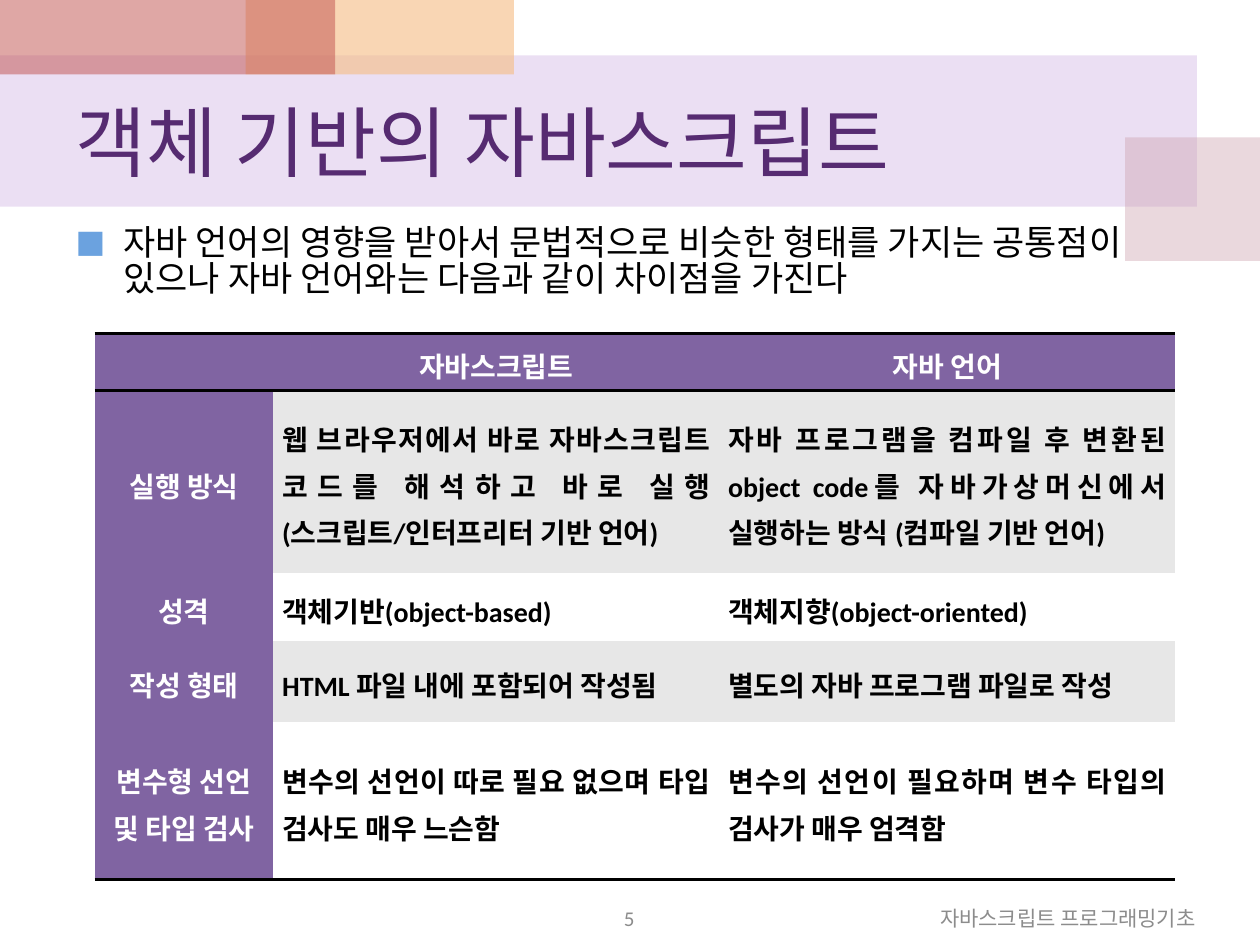
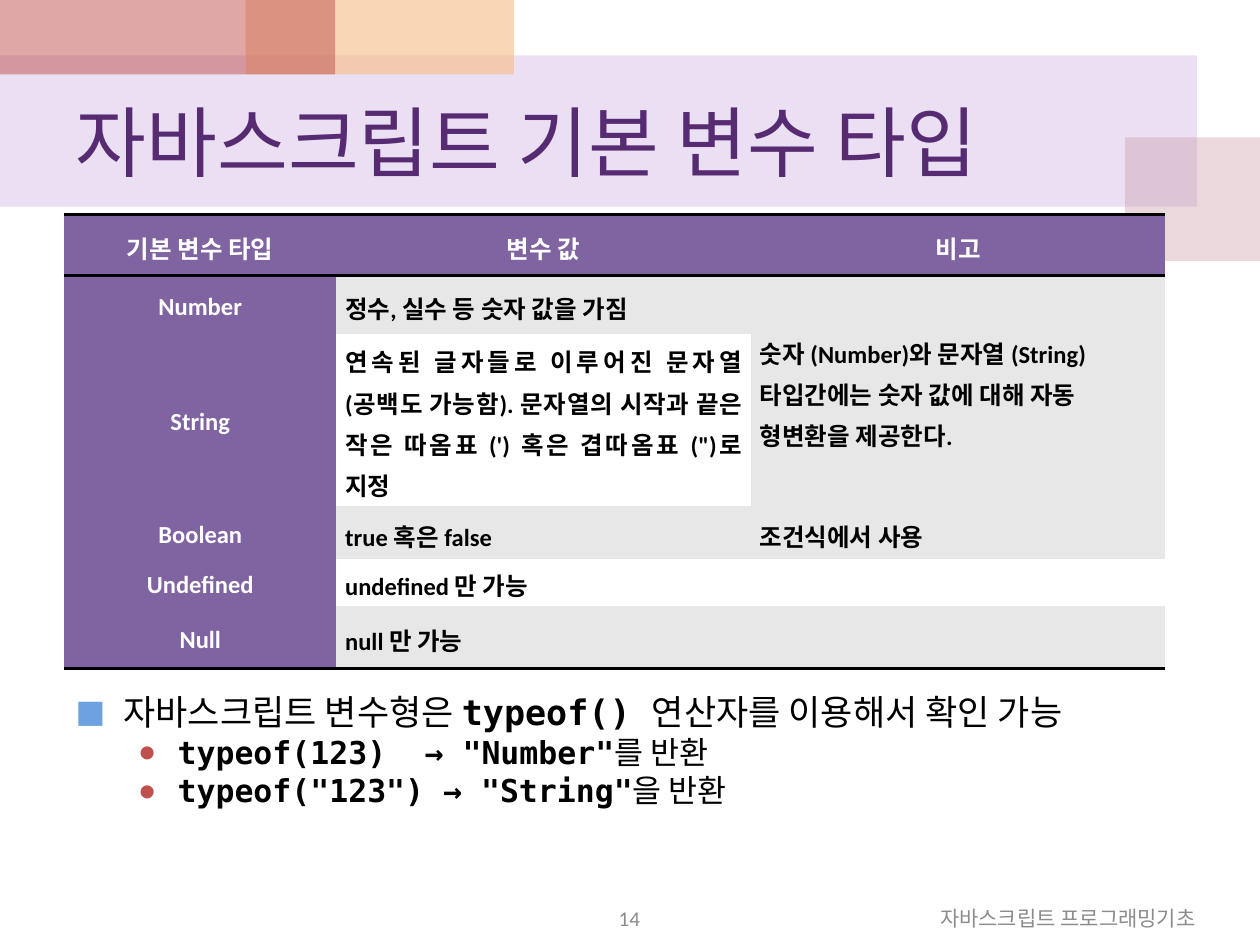
from dataclasses import dataclass
from lxml.etree import SubElement
from pptx import Presentation
from pptx.dml.color import RGBColor as RGB
from pptx.enum.shapes import MSO_SHAPE as Shape
from pptx.enum.text import MSO_ANCHOR as Anchor, MSO_AUTO_SIZE as Fit, PP_ALIGN as Align
from pptx.oxml.ns import qn
from pptx.util import Inches, Pt

FOOT = "자바스크립트 프로그래밍기초"
PAGES = [
    dict(
        title="객체 기반의 자바스크립트", num="5",
        body=(0.5, 1.75, 9, 0.85),
        items=[(0, [("자바 언어의 영향을 받아서 문법적으로 비슷한 형태를 가지는 공통점이 있으나 자바 언어와는 다음과 같이 차이점을 가진다", False)])],
        spot=(0.75, 2.65), size=16, spans=[],
        cols=[1.42, 3.54, 3.62], tall=[0.45, 1.45, 0.54, 0.64, 1.25],
        rows=[
            ("", "자바스크립트", "자바 언어"),
            ("실행 방식",
             "웹 브라우저에서 바로 자바스크립트 코드를 해석하고 바로 실행 (스크립트/인터프리터 기반 언어)",
             "자바 프로그램을 컴파일 후 변환된 object code를 자바가상머신에서 실행하는 방식 (컴파일 기반 언어)"),
            ("성격", "객체기반(object-based)", "객체지향(object-oriented)"),
            ("작성 형태", "HTML 파일 내에 포함되어 작성됨", "별도의 자바 프로그램 파일로 작성"),
            ("변수형 선언 및 타입 검사",
             "변수의 선언이 따로 필요 없으며 타입 검사도 매우 느슨함",
             "변수의 선언이 필요하며 변수 타입의 검사가 매우 엄격함"),
        ],
    ),
    dict(
        title="자바스크립트 기본 변수 타입", num="14",
        body=(0.5, 5.48, 9.22, 1.5),
        items=[
            (0, [("자바스크립트 변수형은 ", False), ("typeof() ", True), ("연산자를 이용해서 확인 가능", False)]),
            (1, [('typeof(123)\t→ "Number"', True), ("를 반환", False)]),
            (1, [('typeof("123") → "String"', True), ("을 반환", False)]),
        ],
        spot=(0.51, 1.7), size=14, spans=[((1, 2), (2, 2))],
        cols=[2.16, 3.29, 3.29], tall=[0.49, 0.46, 1.37, 0.42, 0.37, 0.5],
        rows=[
            ("기본 변수 타입", "변수 값", "비고"),
            ("Number", "정수, 실수 등 숫자 값을 가짐",
             "숫자 (Number)와 문자열 (String) 타입간에는 숫자 값에 대해 자동 형변환을 제공한다."),
            ("String", "연속된 글자들로 이루어진 문자열 (공백도 가능함). 문자열의 시작과 끝은 작은 따옴표 (') 혹은 겹따옴표 (\")로 지정", ""),
            ("Boolean", "true 혹은 false", "조건식에서 사용"),
            ("Undefined", "undefined 만 가능", ""),
            ("Null", "null 만 가능", ""),
        ],
    ),
]
BANDS = [
    ((0, 0.44, 9.5, 1.2), "BF98D8", 30),
    ((8.93, 1.09, 1.07, 0.98), "CC9EAC", 40),
    ((1.95, 0, 2.13, 0.59), "F5BC83", 60),
    ((0, 0, 2.66, 0.59), "C0504D", 50),
]
LEVELS = [
    dict(size=20, left=0.38, hang=0.38, mark="■", color="6BA2DF"),
    dict(size=18, left=0.81, hang=0.31, mark="●", color="C0504D"),
]


@dataclass(frozen=True)
class Theme:
    font: str = "Calibri"
    mono: str = "DejaVu Sans Mono"
    title: str = "562B71"
    ink: str = "000000"
    white: str = "FFFFFF"
    gray: str = "8C8C8C"
    head: str = "8064A2"
    stripe: str = "E7E7E7"
    big: int = 44
    small: int = 12
    plain: str = "{2D5ABB26-0587-4C30-8999-92F81FD0307C}"


T = Theme()


def apply(obj, **vals):
    for key, val in vals.items():
        setattr(obj, key, val)


def place(shape, box):
    apply(shape, **dict(zip(("left", "top", "width", "height"), map(Inches, box))))


def style(font, size, color, bold=False, name=T.font):
    apply(font, size=Pt(size), bold=bold, name=name)
    font.color.rgb = RGB.from_string(color)


def node(root, tag, **vals):
    return SubElement(root, qn(tag), {key: str(val) for key, val in vals.items()})


def write(frame, text, size, color, align, bold=False):
    apply(frame, word_wrap=True, auto_size=Fit.NONE, vertical_anchor=Anchor.MIDDLE)
    para = frame.paragraphs[0]
    para.alignment = align
    run = para.add_run()
    run.text = text
    style(run.font, size, color, bold)


def add_bands(slide, master):
    for pos, (box, color, alpha) in enumerate(BANDS):
        band = slide.shapes.add_shape(Shape.RECTANGLE, *map(Inches, box))
        band.shadow.inherit = False
        band.line.fill.background()
        band.fill.solid()
        band.fill.fore_color.rgb = RGB.from_string(color)
        tint = band._element.spPr.find(".//" + qn("a:srgbClr"))
        node(tint, "a:alpha", val=alpha * 1000)
        master.shapes._spTree.insert(2 + pos, band._element)


def add_list(holder, box, items):
    place(holder, box)
    frame = holder.text_frame
    apply(frame, word_wrap=True, auto_size=Fit.NONE)
    for pos, (level, runs) in enumerate(items):
        look = LEVELS[level]
        para = frame.add_paragraph() if pos else frame.paragraphs[0]
        apply(para, level=level, line_spacing=0.85, space_before=Pt(look["size"] / 5 if pos else 0))
        props = para._p.get_or_add_pPr()
        props.set("marL", str(Inches(look["left"])))
        props.set("indent", str(-Inches(look["hang"])))
        node(node(props, "a:buClr"), "a:srgbClr", val=look["color"])
        node(props, "a:buSzPct", val=90000)
        node(props, "a:buFont", typeface=T.font)
        node(props, "a:buChar", char=look["mark"])
        if any("\t" in text for text, code in runs):
            node(node(props, "a:tabLst"), "a:tab", pos=Inches(2.77), algn="l")
        for text, code in runs:
            run = para.add_run()
            run.text = text
            style(run.font, look["size"], T.ink, code, T.mono if code else T.font)


def add_rule(cell, side):
    props = cell._tc.get_or_add_tcPr()
    line = props.makeelement(qn("a:ln" + side), {"w": str(Pt(2))})
    node(node(line, "a:solidFill"), "a:srgbClr", val=T.ink)
    fill = props.find(qn("a:solidFill"))
    fill.addprevious(line)


def add_grid(slide, page):
    rows, cols, tall = page["rows"], page["cols"], page["tall"]
    box = (*page["spot"], sum(cols), sum(tall))
    grid = slide.shapes.add_table(len(rows), len(cols), *map(Inches, box)).table
    grid._tbl.tblPr.find(qn("a:tableStyleId")).text = T.plain
    apply(grid, first_row=False, horz_banding=False)
    for col, wide in zip(grid.columns, cols):
        col.width = Inches(wide)
    for row, high in zip(grid.rows, tall):
        row.height = Inches(high)
    starts = [start for start, end in page["spans"]]
    for r, row in enumerate(rows):
        for c, text in enumerate(row):
            cell = grid.cell(r, c)
            head = r == 0 or c == 0
            apply(cell, margin_left=Inches(0.07), margin_right=Inches(0.07),
                  margin_top=0, margin_bottom=0, vertical_anchor=Anchor.MIDDLE)
            cell.fill.solid()
            color = T.head if head else T.stripe if r % 2 else T.white
            cell.fill.fore_color.rgb = RGB.from_string(color)
            if r == 0:
                add_rule(cell, "T")
            if r in (0, len(rows) - 1):
                add_rule(cell, "B")
            if text:
                align = Align.CENTER if head else Align.LEFT if (r, c) in starts else Align.JUSTIFY
                para = cell.text_frame.paragraphs[0]
                apply(para, alignment=align, line_spacing=1.15)
                run = para.add_run()
                run.text = text
                style(run.font, page["size"], T.white if head else T.ink, True)
    for start, end in page["spans"]:
        grid.cell(*start).merge(grid.cell(*end))


def add_note(slide, box, text, align):
    note = slide.shapes.add_textbox(*map(Inches, box))
    write(note.text_frame, text, T.small, T.gray, align)


def main():
    deck = Presentation()
    apply(deck, slide_width=Inches(10), slide_height=Inches(7.5))
    for pos, page in enumerate(PAGES):
        slide = deck.slides.add_slide(deck.slide_layouts[1])
        if pos == 0:
            add_bands(slide, deck.slide_master)
        title, body = slide.placeholders
        place(title, (0.5, 0.59, 9, 1.05))
        write(title.text_frame, page["title"], T.big, T.title, Align.LEFT)
        add_list(body, page["body"], page["items"])
        add_note(slide, (3.83, 7.15, 2.33, 0.27), page["num"], Align.CENTER)
        add_grid(slide, page)
        add_note(slide, (6.42, 7.15, 3.17, 0.27), FOOT, Align.RIGHT)
    deck.save("out.pptx")


if __name__ == "__main__":
    main()
